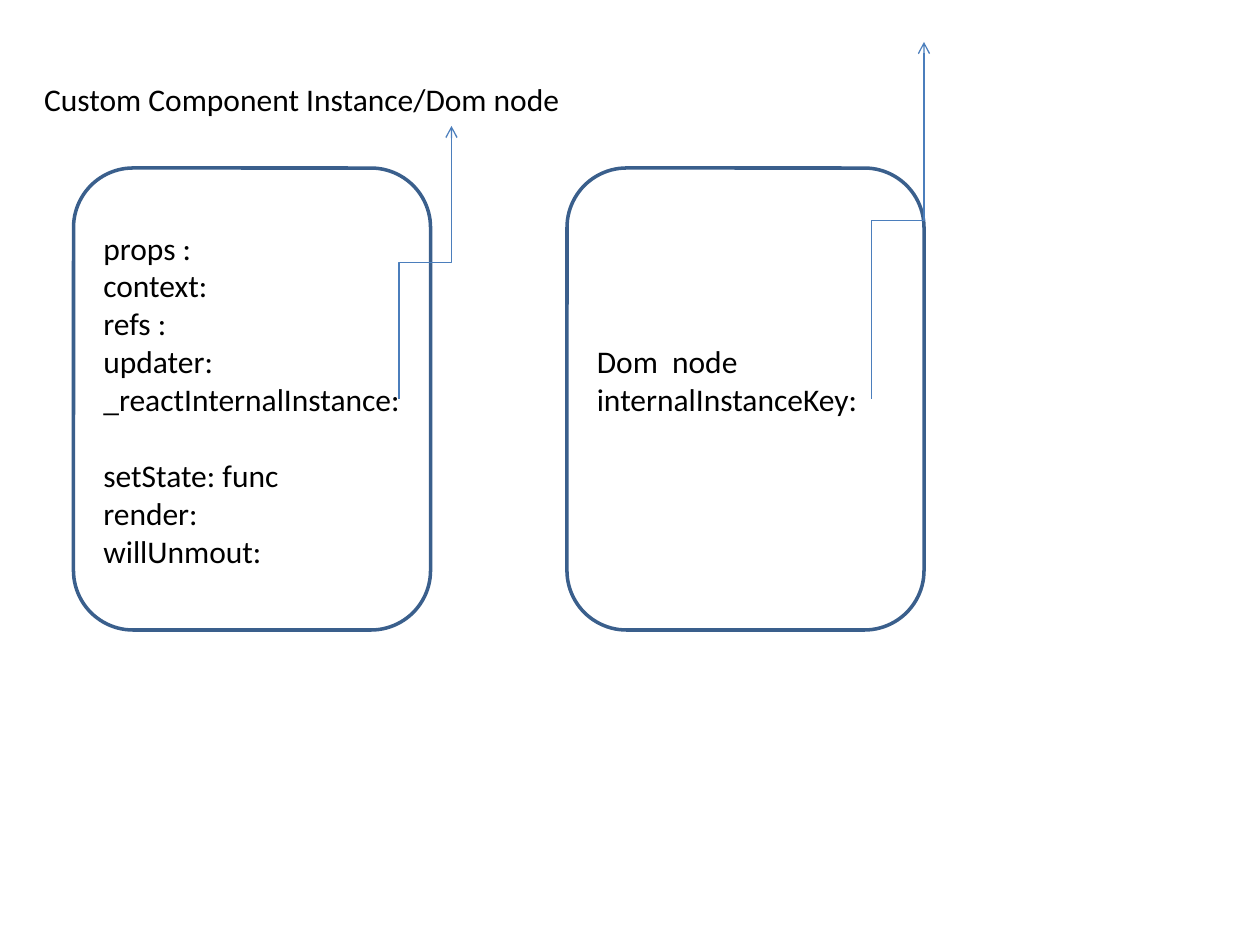
from dataclasses import dataclass

from lxml.etree import SubElement
from pptx import Presentation
from pptx.dml.color import RGBColor
from pptx.enum.shapes import MSO_CONNECTOR, MSO_SHAPE
from pptx.enum.text import MSO_ANCHOR, MSO_AUTO_SIZE, PP_ALIGN
from pptx.oxml.ns import qn
from pptx.slide import Slide
from pptx.util import Inches, Length, Pt

GRID_CELLS_PER_INCH = 12
TITLE_ONLY_LAYOUT = 5


@dataclass(frozen=True)
class Theme:
    font: str = "Calibri"
    text_size: Length = Pt(18)
    line_height: Length = Pt(22)
    text: RGBColor = RGBColor(0x00, 0x00, 0x00)
    outline: RGBColor = RGBColor(0x3A, 0x5F, 0x8C)
    arrow: RGBColor = RGBColor(0x4B, 0x7E, 0xBC)
    outline_width: Length = Pt(2)
    arrow_width: Length = Pt(0.75)


@dataclass(frozen=True)
class InstanceBox:
    column: int
    groups: tuple[tuple[str, ...], ...]
    trailing_lines: int = 0
    row: int = 16
    columns: int = 34
    rows: int = 44


@dataclass(frozen=True)
class UpwardArrow:
    start_column: int
    end_column: int
    end_row: int
    start_row: int = 38


THEME = Theme()

BOXES = (
    InstanceBox(7, (
        ("props :", "context:", "refs :", "updater:", "_reactInternalInstance:"),
        ("setState: func", "render:", "willUnmout:"),
    )),
    InstanceBox(54, (("Dom  node", "internalInstanceKey:"),), trailing_lines=1),
)

ARROWS = (UpwardArrow(38, 43, 12), UpwardArrow(83, 88, 4))


def cells(count: float) -> Length:
    return Inches(count / GRID_CELLS_PER_INCH)


def add_text(paragraph, text: str) -> None:
    paragraph.alignment = PP_ALIGN.LEFT
    run = paragraph.add_run()
    run.text = text
    run.font.name = THEME.font
    run.font.size = THEME.text_size
    run.font.color.rgb = THEME.text


def place_title(slide: Slide, text: str) -> None:
    title = slide.shapes.title
    title.left, title.top = cells(3), cells(7)
    title.width, title.height = cells(52), cells(4.8)
    frame = title.text_frame
    frame.word_wrap = False
    frame.auto_size = MSO_AUTO_SIZE.SHAPE_TO_FIT_TEXT
    frame.vertical_anchor = MSO_ANCHOR.TOP
    add_text(frame.paragraphs[0], text)


def draw_box(slide: Slide, box: InstanceBox) -> None:
    shape = slide.shapes.add_shape(
        MSO_SHAPE.ROUNDED_RECTANGLE,
        cells(box.column), cells(box.row), cells(box.columns), cells(box.rows),
    )
    shape.shadow.inherit = False
    shape.fill.background()
    shape.line.color.rgb = THEME.outline
    shape.line.width = THEME.outline_width
    frame = shape.text_frame
    frame.word_wrap = True
    frame.vertical_anchor = MSO_ANCHOR.MIDDLE
    frame.margin_bottom += box.trailing_lines * THEME.line_height
    for group_index, group in enumerate(box.groups):
        for line_index, text in enumerate(group):
            is_first = group_index == line_index == 0
            paragraph = frame.paragraphs[0] if is_first else frame.add_paragraph()
            if group_index and not line_index:
                paragraph.space_before = THEME.line_height
            add_text(paragraph, text)


def draw_arrow(slide: Slide, arrow: UpwardArrow) -> None:
    center_column = (arrow.start_column + arrow.end_column) / 2
    center_row = (arrow.start_row + arrow.end_row) / 2
    half_length = (arrow.start_row - arrow.end_row) / 2
    half_breadth = (arrow.end_column - arrow.start_column) / 2
    connector = slide.shapes.add_connector(
        MSO_CONNECTOR.ELBOW,
        cells(center_column + half_length), cells(center_row + half_breadth),
        cells(center_column - half_length), cells(center_row - half_breadth),
    )
    connector.line.color.rgb = THEME.arrow
    connector.line.width = THEME.arrow_width
    properties = connector._element.spPr
    properties.find(qn("a:xfrm")).set("rot", str(90 * 60000))
    SubElement(properties.find(qn("a:ln")), qn("a:tailEnd"), type="arrow")
    SubElement(properties, qn("a:effectLst"))


def main() -> None:
    presentation = Presentation()
    presentation.slide_width, presentation.slide_height = Inches(10), Inches(7.5)
    slide = presentation.slides.add_slide(presentation.slide_layouts[TITLE_ONLY_LAYOUT])
    place_title(slide, "Custom Component Instance/Dom node")
    for box in BOXES:
        draw_box(slide, box)
    for arrow in ARROWS:
        draw_arrow(slide, arrow)
    presentation.save("out.pptx")


if __name__ == "__main__":
    main()
